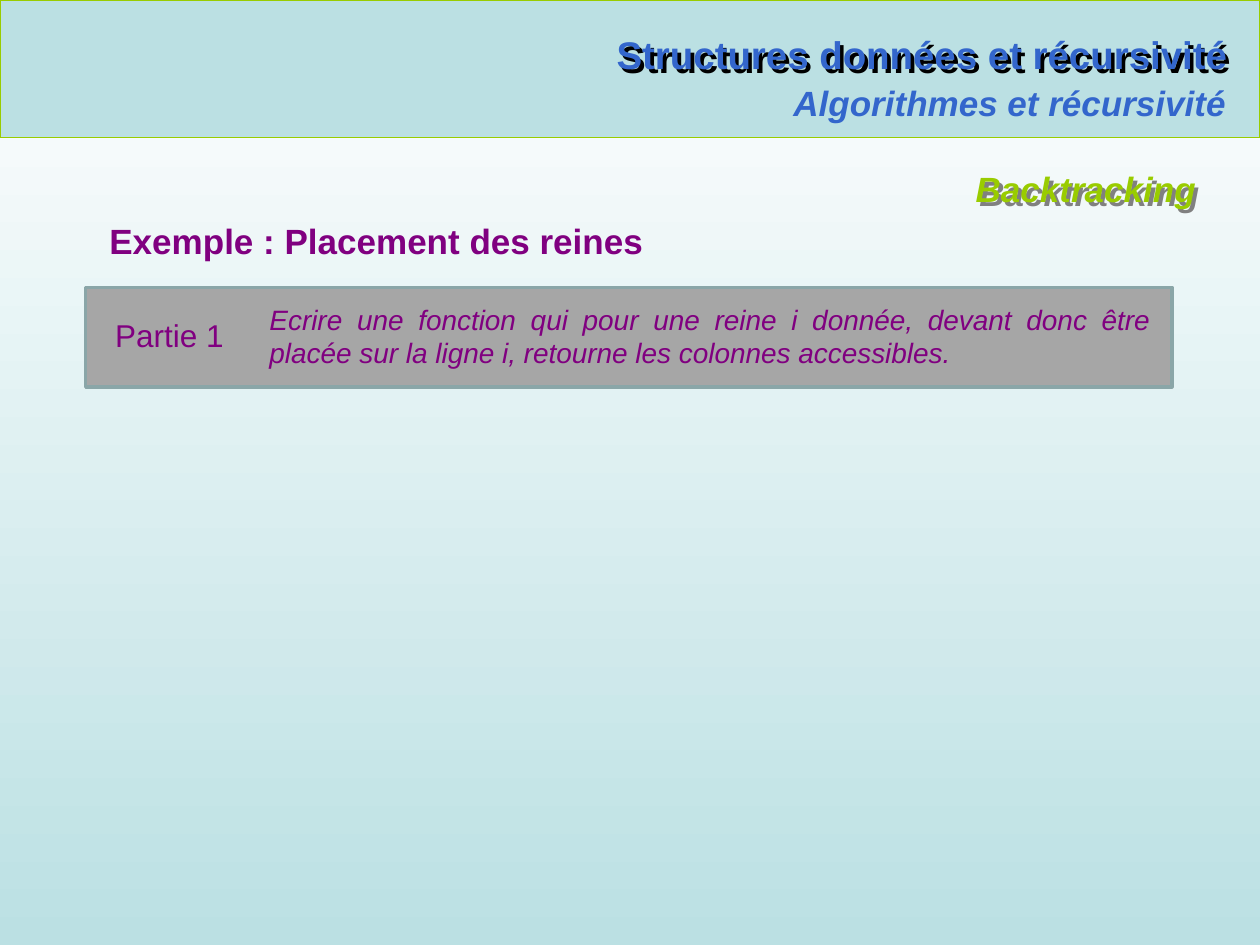
from lxml import etree
from pptx import Presentation
from pptx import util as u
from pptx.dml.color import RGBColor
from pptx.enum import shapes, text
from pptx.oxml.ns import qn

GREEN, BLUE, PURPLE, PALE = "99CC00", "3366CC", "800080", "BBE0E3"
ALIGN = text.PP_ALIGN


def color(value):
    """Turn a hex string into a colour."""
    return RGBColor.from_string(value)


def add_effects(shape, shadow=None):
    """Give a shape an effect list, with a diagonal shadow if a colour is named."""
    effects = etree.SubElement(shape._element.spPr, qn("a:effectLst"))
    if shadow:
        outer = etree.SubElement(effects, qn("a:outerShdw"), dist=str(u.Inches(0.04)),
                                 dir="2700000", algn="ctr", rotWithShape="0")
        etree.SubElement(outer, qn("a:srgbClr"), val=shadow)


def add_text(slide, box, words, size, fill, align=ALIGN.LEFT, bold=False,
             italic=False, wrap=True, after=0, shadow=None):
    """Add a formatted text box."""
    shape = slide.shapes.add_textbox(*map(u.Inches, box))
    frame = shape.text_frame
    frame.word_wrap = wrap
    frame.auto_size = text.MSO_AUTO_SIZE.SHAPE_TO_FIT_TEXT
    paragraph = frame.paragraphs[0]
    paragraph.alignment = align
    paragraph.space_after = u.Pt(after)
    run = paragraph.add_run()
    run.text = words
    font = run.font
    font.name, font.size, font.bold, font.italic = "Arial", u.Pt(size), bold, italic
    font.color.rgb = color(fill)
    if shadow:
        add_effects(shape, shadow)


def add_panel(slide, box, fill, line, width):
    """Add a filled rectangle with an outline."""
    shape = slide.shapes.add_shape(shapes.MSO_SHAPE.RECTANGLE, *map(u.Inches, box))
    shape.shadow.inherit = False
    shape.fill.solid()
    shape.fill.fore_color.rgb = color(fill)
    shape.line.color.rgb = color(line)
    shape.line.width = u.Pt(width)


def add_background(slide):
    """Fill the slide from white down to pale blue."""
    fill = slide.background.fill
    fill.gradient()
    fill.gradient_angle = 270
    for stop, position, value in zip(fill.gradient_stops, (0, 1), ("FFFFFF", PALE)):
        stop.position = position
        stop.color.rgb = color(value)


def add_header(slide, left, top, width, height):
    """Add the title band with its two titles."""
    add_panel(slide, (left, top, width, height), PALE, GREEN, 0.75)
    add_text(slide, (left + 4.67, top + 0.2, 5.17, 0.47),
             "Structures données et récursivité", 22, BLUE, ALIGN.RIGHT,
             bold=True, wrap=False, shadow="000000")
    add_text(slide, (left + 6.1, top + 0.6, 3.73, 0.44), "Algorithmes et récursivité",
             20, BLUE, ALIGN.RIGHT, bold=True, italic=True, wrap=False)


def add_section(slide, left, top, width):
    """Add the rule, the section name and the example heading."""
    rule = slide.shapes.add_connector(
        shapes.MSO_CONNECTOR.STRAIGHT,
        *map(u.Inches, (left, top, left + width, top)))
    rule.line.color.rgb = color(GREEN)
    rule.line.width = u.Pt(0.75)
    add_effects(rule)
    add_text(slide, (left + 5.05, top + 0.19, 4.2, 0.43), "Backtracking", 20, GREEN,
             ALIGN.RIGHT, bold=True, italic=True, shadow="808080")
    add_text(slide, (left + 0.43, top + 0.6, 8.9, 0.44), "Exemple : Placement des reines",
             20, PURPLE, ALIGN.JUSTIFY, bold=True, after=12)


def add_exercise(slide, left, top, width, height):
    """Add the exercise panel with its label and statement."""
    add_panel(slide, (left, top, width, height), "A6A6A6", "8AA6A8", 2)
    add_text(slide, (left + 0.13, top + 0.18, 1.07, 0.37), "Partie 1", 18, PURPLE,
             ALIGN.CENTER, wrap=False)
    add_text(slide, (left + 1.36, top + 0.07, width - 1.43, 0.64),
             "Ecrire une fonction qui pour une reine i donnée, devant donc être placée "
             "sur la ligne i, retourne les colonnes accessibles.",
             16, PURPLE, ALIGN.JUSTIFY, italic=True)


def main():
    """Build and save the presentation."""
    presentation = Presentation()
    presentation.slide_width, presentation.slide_height = u.Inches(10), u.Inches(7.5)
    slide = presentation.slides.add_slide(presentation.slide_layouts[6])
    add_background(slide)
    add_header(slide, 0, 0, 10, 1.09)
    add_section(slide, 0.34, 1.09, 9.42)
    add_exercise(slide, 0.68, 2.28, 8.62, 0.79)
    presentation.save("out.pptx")


if __name__ == "__main__":
    main()
